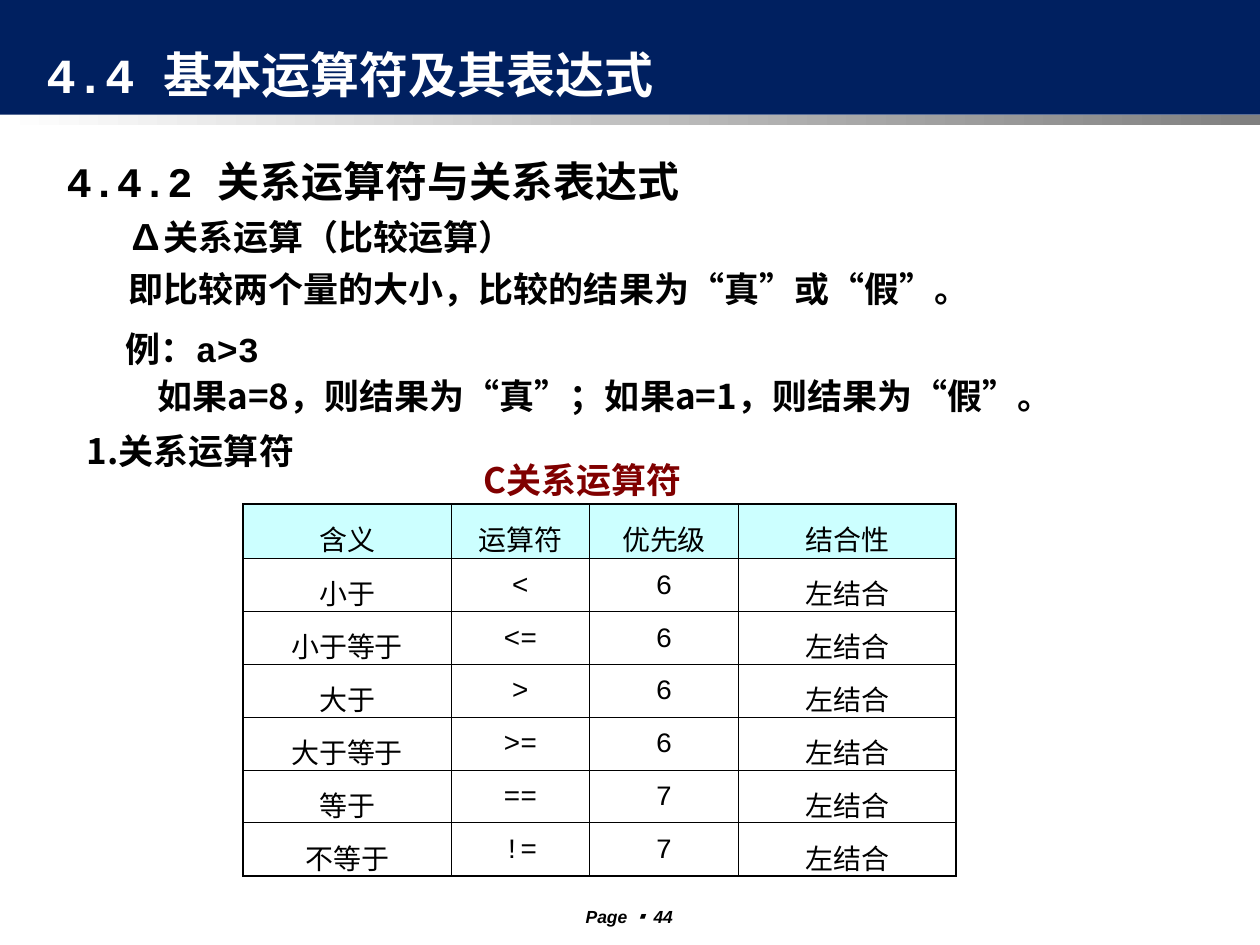
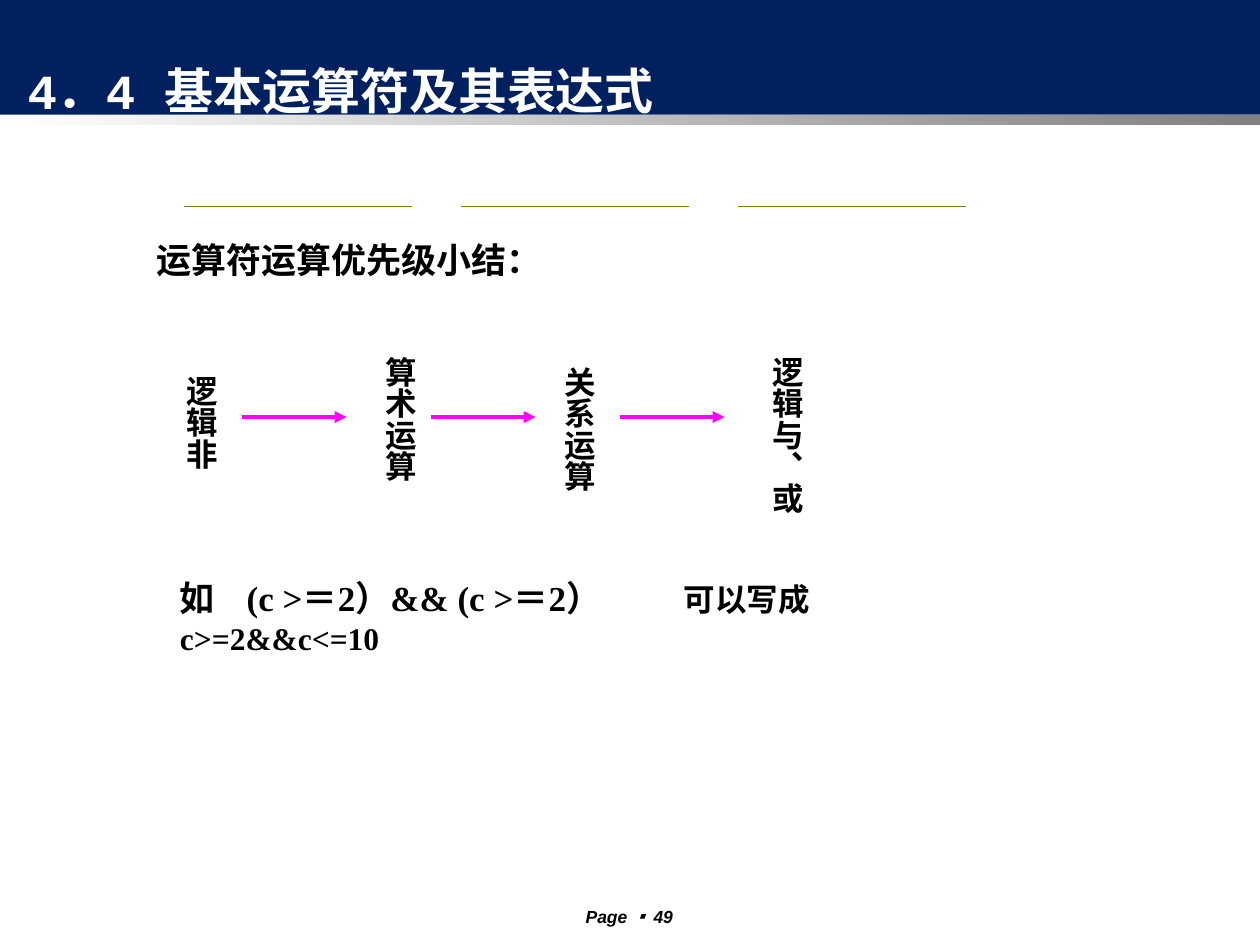
"""Build two lecture slides on relational operators and operator precedence in C."""
import pptx
import pptx.dml.color
import pptx.enum.shapes
import pptx.enum.text
import pptx.oxml
import pptx.oxml.ns
import pptx.util
from lxml import etree

Inches = pptx.util.Inches
Pt = pptx.util.Pt
RGBColor = pptx.dml.color.RGBColor
ALIGN = pptx.enum.text.PP_ALIGN
ANCHOR = pptx.enum.text.MSO_ANCHOR
FIT = pptx.enum.text.MSO_AUTO_SIZE
qn = pptx.oxml.ns.qn

NAVY = RGBColor(0x00, 0x20, 0x60)
WHITE = RGBColor(0xFF, 0xFF, 0xFF)
GRAY = RGBColor(0x80, 0x80, 0x80)
BLACK = RGBColor(0x00, 0x00, 0x00)
MAROON = RGBColor(0x80, 0x00, 0x00)
MAGENTA = RGBColor(0xFF, 0x00, 0xFF)
OLIVE = RGBColor(0x80, 0x80, 0x00)
PALE_CYAN = RGBColor(0xCC, 0xFF, 0xFF)

MONO = "Courier New"
SERIF = "Times New Roman"
SANS = "Arial"
HAN = "Noto Sans CJK SC"
SYMBOL = "Noto Sans CJK JP"

INTRO = [
    dict(runs=[("4.4.2 关系运算符与关系表达式", MONO, 24)], after=4),
    dict(runs=[("∆关系运算（比较运算）", SERIF, 20)], indent=0.49, before=4, after=4),
    dict(runs=[("即比较两个量的大小，比较的结果为“真”或“假”。", SERIF, 20)],
         indent=0.49, before=4, after=4),
]
EXAMPLE = [
    dict(runs=[("例：", SERIF, 20), ("a>3", MONO, 20)]),
    dict(runs=[("如果a=8，则结果为“真”；如果a=1，则结果为“假”。", HAN, 20)], indent=0.25),
]
HEADING = [dict(runs=[("1.关系运算符", HAN, 20)])]
CAPTION = [dict(runs=[("C关系运算符", HAN, 20)])]
OPERATORS = [
    ("含义", "运算符", "优先级", "结合性"),
    ("小于", "<", "6", "左结合"),
    ("小于等于", "<=", "6", "左结合"),
    ("大于", ">", "6", "左结合"),
    ("大于等于", ">=", "6", "左结合"),
    ("等于", "==", "7", "左结合"),
    ("不等于", "!=", "7", "左结合"),
]
COLUMN_WIDTHS = [1.65, 1.1, 1.18, 1.73]
ROW_HEIGHTS = [0.43, 0.36, 0.37, 0.39, 0.39, 0.32, 0.32]
THICK, THIN = 1.08, 0.45

SUMMARY = [dict(runs=[("运算符运算优先级小结：", SERIF, 20)])]
PRECEDENCE = [
    ("逻辑非", (1.3, 2.88, 0.5, 1.02)),
    ("算术运算", (2.88, 2.73, 0.5, 1.65)),
    ("关系运算", (4.3, 2.81, 0.5, 1.57)),
    ("逻辑与、或", (5.95, 2.73, 0.5, 1.57)),
]
REWRITE = [dict(runs=[("如\t(c >＝2）&& (c >＝2）\t", SERIF, 20),
                      ("可以写成 c>=2&&c<=10", SERIF, 18)], tabs=[0.53, 4.0])]


def add_span(para, text, font, size, color=BLACK, bold=True, italic=False):
    span = para.add_run()
    span.text = text
    span.font.name, span.font.size = font, Pt(size)
    span.font.bold, span.font.italic = bold, italic
    span.font.color.rgb = color
    east_asian = etree.SubElement(span.font._element, qn("a:ea"))
    east_asian.set("typeface", SYMBOL if font == SYMBOL else HAN)


def add_text(page, place, paras, color=BLACK, spacing=None, align=None,
             grow=True, anchor=ANCHOR.TOP, italic=False, vertical=False):
    box = page.shapes.add_textbox(*map(Inches, place))
    frame = box.text_frame
    frame.word_wrap = not vertical
    frame.auto_size = FIT.SHAPE_TO_FIT_TEXT if grow else FIT.NONE
    frame.vertical_anchor = anchor
    if vertical:
        frame._txBody.bodyPr.set("vert", "eaVert")
        frame.margin_left = frame.margin_right = Inches(0.05)
        frame.margin_top = frame.margin_bottom = Inches(0.1)
    for number, content in enumerate(paras):
        para = frame.add_paragraph() if number else frame.paragraphs[0]
        properties = para._p.get_or_add_pPr()
        if "indent" in content:
            properties.set("marL", str(Inches(content["indent"])))
            properties.set("indent", "0")
        if "tabs" in content:
            tab_list = etree.SubElement(properties, qn("a:tabLst"))
            for stop in content["tabs"]:
                tab = etree.SubElement(tab_list, qn("a:tab"))
                tab.set("pos", str(Inches(stop)))
                tab.set("algn", "l")
        para.alignment = align
        para.line_spacing = spacing
        if "before" in content:
            para.space_before = Pt(content["before"])
        if "after" in content:
            para.space_after = Pt(content["after"])
        for text, font, size in content["runs"]:
            add_span(para, text, font, size, color, italic=italic)


def add_band(page, top, height):
    band = page.shapes.add_shape(pptx.enum.shapes.MSO_SHAPE.RECTANGLE,
                                 0, Inches(top), Inches(10), Inches(height))
    band.shadow.inherit = False
    band.line.fill.background()
    return band


def add_page(deck, title, title_place, number):
    page = deck.slides.add_slide(deck.slide_layouts[6])
    header = add_band(page, 0, 0.91)
    header.fill.solid()
    header.fill.fore_color.rgb = NAVY
    strip = add_band(page, 0.91, 0.08)
    strip.fill.gradient()
    strip.fill.gradient_angle = 0
    for stop, color in zip(strip.fill.gradient_stops, (WHITE, GRAY)):
        stop.color.rgb = color
    footer = [("Page ", SANS, 10), ("▪ ", SYMBOL, 10), (number, SANS, 10)]
    add_text(page, (4.21, 7.14, 1.57, 0.22), [dict(runs=footer)],
             align=ALIGN.CENTER, grow=False, italic=True)
    add_text(page, title_place, [dict(runs=[(title, MONO, 28)])], WHITE,
             grow=False, anchor=ANCHOR.MIDDLE)
    return page


def add_line(page, left, top, length, color, width, arrow=False):
    line = page.shapes.add_connector(pptx.enum.shapes.MSO_CONNECTOR.STRAIGHT,
                                     Inches(left), Inches(top),
                                     Inches(left + length), Inches(top))
    line.line.color.rgb = color
    line.line.width = Pt(width)
    if arrow:
        etree.SubElement(line.line._get_or_add_ln(), qn("a:tailEnd")).set("type", "triangle")
    etree.SubElement(line._element.spPr, qn("a:effectLst"))


def set_borders(cell, widths):
    properties = cell._tc.get_or_add_tcPr()
    for position, (side, width) in enumerate(widths):
        border = pptx.oxml.parse_xml(
            f'<a:{side} xmlns:a="http://schemas.openxmlformats.org/drawingml/2006/main" '
            f'w="{Pt(width)}"><a:solidFill><a:srgbClr val="{BLACK}"/></a:solidFill></a:{side}>')
        properties.insert(position, border)


def add_operator_table(page):
    last_row, last_column = len(OPERATORS) - 1, len(COLUMN_WIDTHS) - 1
    frame = page.shapes.add_table(last_row + 1, last_column + 1, Inches(1.93), Inches(4),
                                  Inches(sum(COLUMN_WIDTHS)), Inches(sum(ROW_HEIGHTS)))
    table = frame.table
    table.first_row = table.horz_banding = False
    for column, width in zip(table.columns, COLUMN_WIDTHS):
        column.width = Inches(width)
    for row, height in zip(table.rows, ROW_HEIGHTS):
        row.height = Inches(height)
    for row, texts in enumerate(OPERATORS):
        for column, text in enumerate(texts):
            cell = table.cell(row, column)
            if row == 0:
                cell.fill.solid()
                cell.fill.fore_color.rgb = PALE_CYAN
            else:
                cell.fill.background()
            outer = [("lnL", column == 0), ("lnR", column == last_column),
                     ("lnT", row == 0), ("lnB", row == last_row)]
            set_borders(cell, [(side, THICK if edge else THIN) for side, edge in outer])
            para = cell.text_frame.paragraphs[0]
            para.alignment = ALIGN.CENTER
            para.line_spacing = 1.2
            add_span(para, text, MONO, 16, bold=False)


def build_relational_page(deck):
    page = add_page(deck, "4.4 基本运算符及其表达式", (0.27, 0.23, 5.51, 0.71), "44")
    add_text(page, (0.43, 1.23, 9.06, 1.49), INTRO, spacing=0.9,
             align=ALIGN.JUSTIFY, grow=False)
    add_text(page, (0.9, 2.52, 8.27, 0.84), EXAMPLE, spacing=1.1)
    add_text(page, (0.59, 3.36, 2.36, 0.44), HEADING)
    add_operator_table(page)
    add_text(page, (3.74, 3.59, 1.89, 0.44), CAPTION, MAROON)


def build_precedence_page(deck):
    page = add_page(deck, "4．4 基本运算符及其表达式", (0.12, 0.36, 5.51, 0.71), "49")
    for step in range(3):
        add_line(page, 1.92 + 1.5 * step, 3.31, 0.83, MAGENTA, 2.25, arrow=True)
        add_line(page, 1.46 + 2.2 * step, 1.64, 1.81, OLIVE, 1)
    add_text(page, (1.14, 1.84, 3.78, 0.44), SUMMARY)
    add_text(page, (1.33, 4.53, 6.48, 0.74), REWRITE)
    for name, place in PRECEDENCE:
        add_text(page, place, [dict(runs=[(name, SANS, 18)])],
                 align=ALIGN.CENTER, vertical=True)


def main():
    deck = pptx.Presentation()
    deck.slide_width, deck.slide_height = Inches(10), Inches(7.5)
    build_relational_page(deck)
    build_precedence_page(deck)
    deck.save("out.pptx")


if __name__ == "__main__":
    main()
